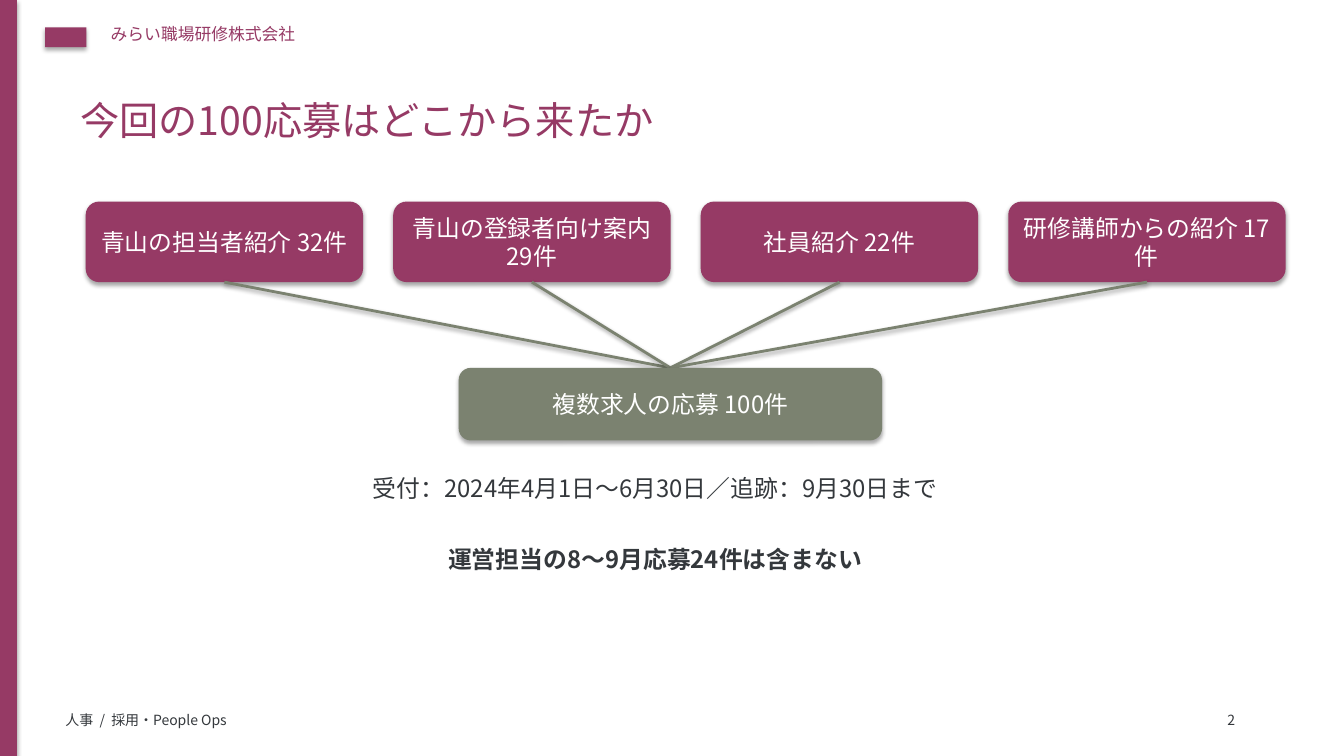
from lxml import etree
from pptx import Presentation
from pptx.dml.color import RGBColor
from pptx.enum.shapes import MSO_CONNECTOR, MSO_SHAPE
from pptx.enum.text import MSO_ANCHOR, PP_ALIGN
from pptx.oxml.ns import qn
from pptx.util import Cm, Pt

RECT, ROUND = MSO_SHAPE.RECTANGLE, MSO_SHAPE.ROUNDED_RECTANGLE
LINE = MSO_CONNECTOR.STRAIGHT
LEFT, MID = PP_ALIGN.LEFT, PP_ALIGN.CENTER
TOP, HALF = MSO_ANCHOR.TOP, MSO_ANCHOR.MIDDLE

FONT = "Noto Sans CJK JP"
PLUM, SAGE, INK, WHITE = "963A65", "7B8270", "34383C", "FFFFFF"
WIDE, HIGH = 33.87, 19.05

ROUTES = [
    "青山の担当者紹介 32件",
    "青山の登録者向け案内 29件",
    "社員紹介 22件",
    "研修講師からの紹介 17件",
]
TOTAL = "複数求人の応募 100件"
CARD = {"x": 2.16, "y": 5.08, "w": 6.99, "h": 2.03, "gap": 0.76}
HUB = (11.56, 9.27, 10.67, 1.83)

BASE = {"size": Pt(17), "bold": False, "name": FONT}
NOTES = [
    ("みらい職場研修株式会社", (2.54, 0.48, 20.32, 1.02), PLUM, LEFT, 0.25, {"size": Pt(12)}),
    ("人事  /  採用・People Ops", (1.4, 17.81, 25.4, 0.76), INK, LEFT, 0.25, {"size": Pt(10)}),
    ("今回の100応募はどこから来たか", (1.78, 2.29, 29.97, 2.16), PLUM, LEFT, 0.25, {"size": Pt(28)}),
    ("2", (30.73, 17.81, 1.27, 0.64), INK, LEFT, 0.2, {"size": Pt(10)}),
    ("受付：2024年4月1日〜6月30日／追跡：9月30日まで", (2.54, 11.81, 27.94, 1.14), INK, MID, 0.2, {}),
    ("運営担当の8〜9月応募24件は含まない", (5.08, 13.59, 22.86, 1.27), INK, MID, 0.2, {"bold": True}),
]


def paint(color, tone):
    color.rgb = RGBColor.from_string(tone)


def shade(props, alpha, dist):
    glow = props.find(qn("a:effectLst"))
    if glow is None:
        glow = etree.SubElement(props, qn("a:effectLst"))
    drop = etree.SubElement(glow, qn("a:outerShdw"), blurRad="40000",
                            dist=str(dist), dir="5400000", rotWithShape="0")
    black = etree.SubElement(drop, qn("a:srgbClr"), val="000000")
    etree.SubElement(black, qn("a:alpha"), val=str(alpha * 1000))


def write(shape, text, tone, align, anchor, inset, style):
    frame = shape.text_frame
    form = {"word_wrap": True, "vertical_anchor": anchor,
            "margin_left": Cm(inset), "margin_right": Cm(inset),
            "margin_top": Cm(0.13), "margin_bottom": Cm(0.13)}
    for key, val in form.items():
        setattr(frame, key, val)
    para = frame.paragraphs[0]
    para.alignment = align
    run = para.add_run()
    run.text = text
    for key, val in {**BASE, **style}.items():
        setattr(run.font, key, val)
    paint(run.font.color, tone)
    etree.SubElement(run._r.get_or_add_rPr(), qn("a:ea"), typeface=FONT)


def block(slide, kind, box, tone, text=None):
    shape = slide.shapes.add_shape(kind, *map(Cm, box))
    shape.fill.solid()
    paint(shape.fill.fore_color, tone)
    shape.line.fill.background()
    shape.shadow.inherit = False
    shade(shape._element.spPr, 35, 23000)
    if text:
        write(shape, text, WHITE, MID, HALF, 0.25, {})
    return shape


def link(slide, card):
    line = slide.shapes.add_connector(LINE, 0, 0, 0, 0)
    line.begin_connect(card, 2)
    line.line.width = Pt(2)
    paint(line.line.color, SAGE)
    shade(line._element.spPr, 38, 20000)
    return line


def main():
    deck = Presentation()
    deck.slide_width, deck.slide_height = Cm(WIDE), Cm(HIGH)
    slide = deck.slides.add_slide(deck.slide_layouts[6])

    block(slide, RECT, (0, 0, 0.43, HIGH), PLUM)
    block(slide, RECT, (1.14, 0.69, 1.04, 0.5), PLUM)

    for text, box, tone, align, inset, style in NOTES:
        note = slide.shapes.add_textbox(*map(Cm, box))
        write(note, text, tone, align, TOP, inset, style)

    lines = []
    for i, text in enumerate(ROUTES):
        left = CARD["x"] + i * (CARD["w"] + CARD["gap"])
        box = (left, CARD["y"], CARD["w"], CARD["h"])
        lines.append(link(slide, block(slide, ROUND, box, PLUM, text)))

    hub = block(slide, ROUND, HUB, SAGE, TOTAL)
    for line in lines:
        line.end_connect(hub, 0)

    deck.save("out.pptx")


if __name__ == "__main__":
    main()
